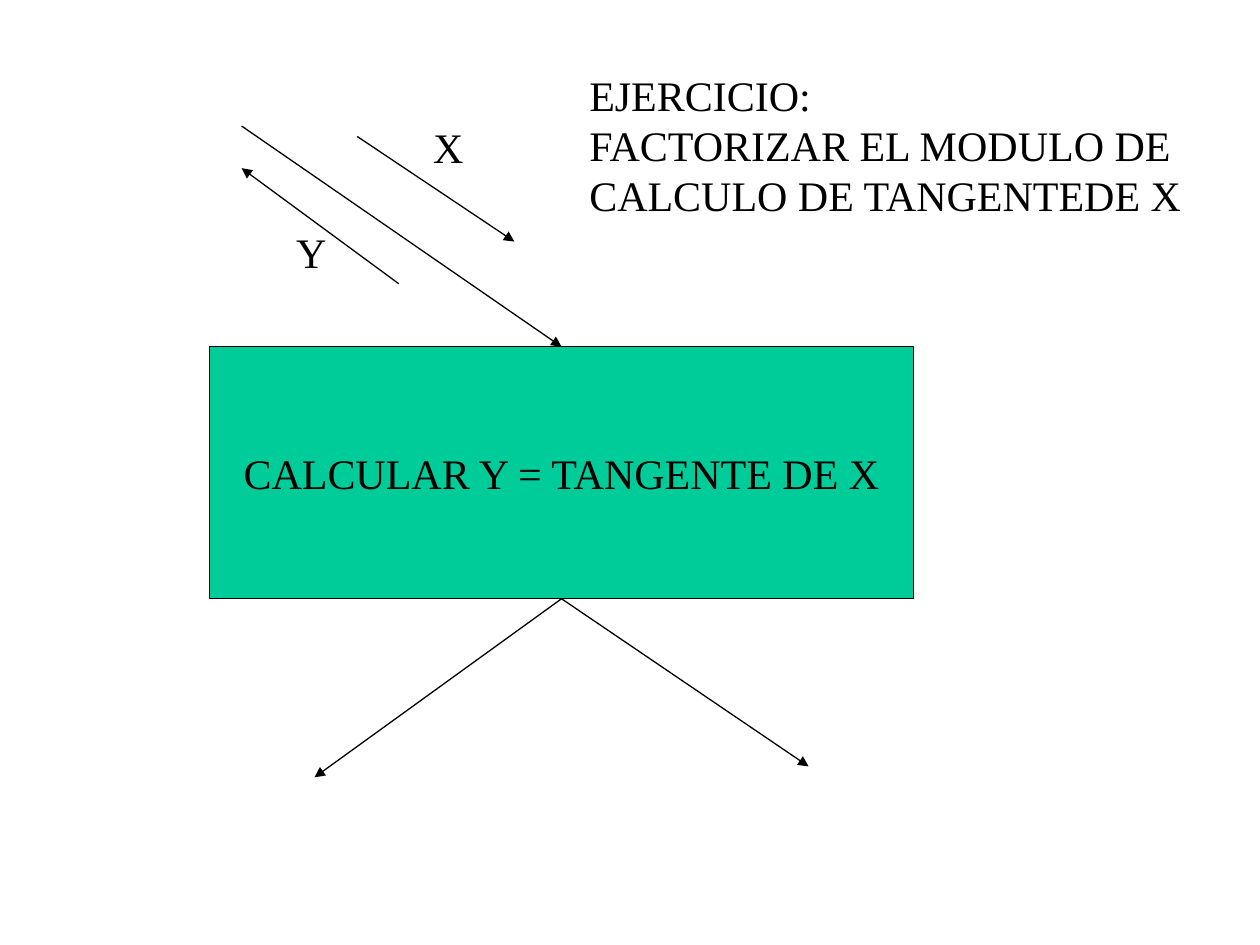
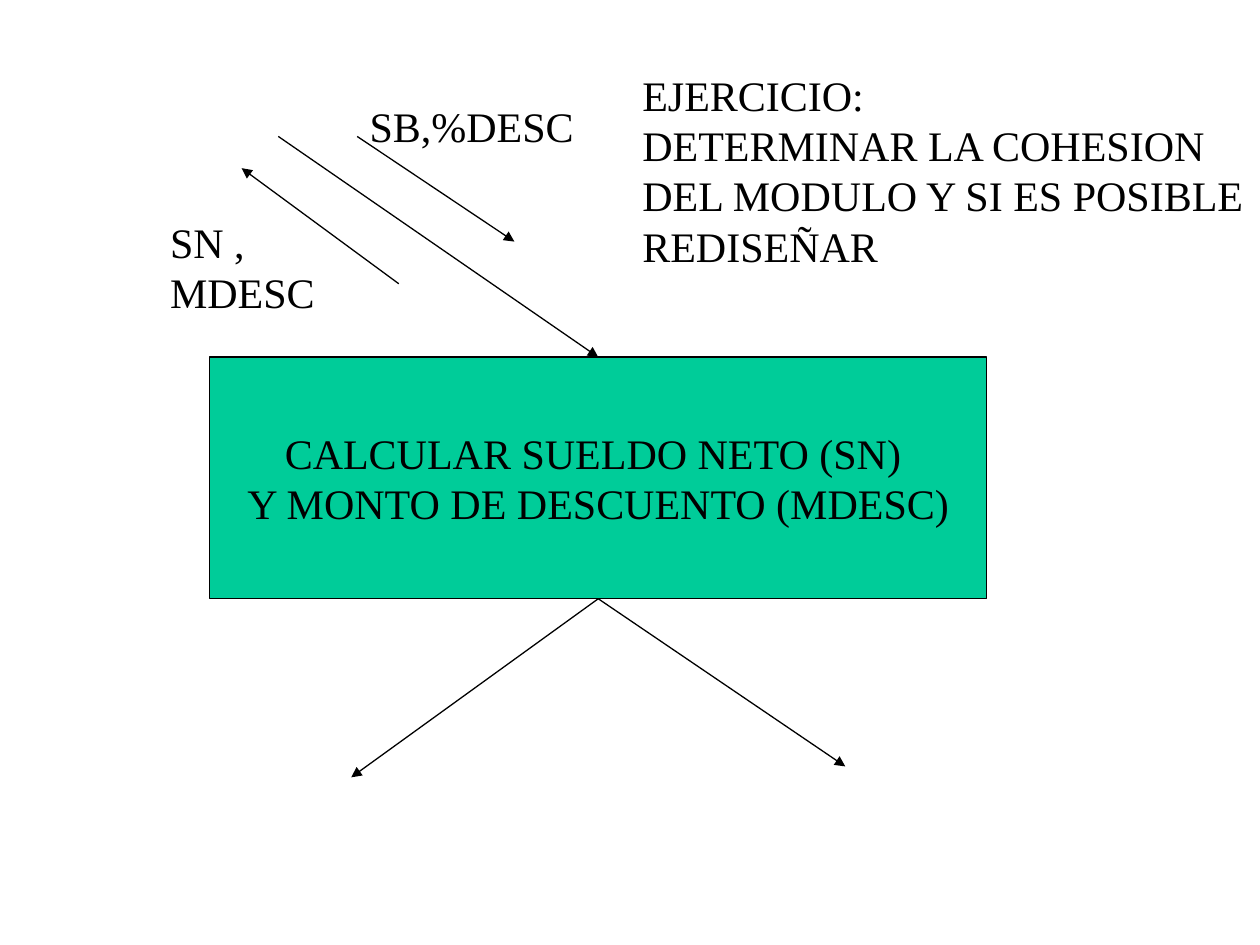
from lxml.etree import SubElement
from pptx import Presentation
from pptx.dml.color import RGBColor
from pptx.enum.shapes import MSO_CONNECTOR, MSO_SHAPE
from pptx.enum.text import MSO_ANCHOR, MSO_AUTO_SIZE, PP_ALIGN
from pptx.oxml.ns import qn
from pptx.util import Cm, Pt

BLACK = RGBColor(0x00, 0x00, 0x00)
GREEN = RGBColor(0x00, 0xCC, 0x99)
FONT = "Times New Roman"
TEXT_SIZE = Pt(24)
LINE_WIDTH = Pt(0.75)
TOP, BOTTOM = 0, 2

# Arrows, as (x, y) points in cm
INPUT_FLOW = (7.2, 2.75), (10.37, 4.87)
OUTPUT_FLOW = (8.04, 5.72), (4.87, 3.39)
# Offsets in cm from the middle of the module's top or bottom side
CALL_OFFSET = (-6.45, -4.45)
SUBMODULE_OFFSETS = [(-4.98, 3.6), (4.98, 3.38)]


def write_paragraphs(frame, paragraphs, alignment=PP_ALIGN.LEFT):
    """Fill the frame; each paragraph is a list of lines."""
    for index, lines in enumerate(paragraphs):
        paragraph = frame.paragraphs[0] if index == 0 else frame.add_paragraph()
        paragraph.alignment = alignment
        paragraph.font.size = TEXT_SIZE
        paragraph.font.name = FONT
        for number, line in enumerate(lines):
            if number:
                paragraph.add_line_break()
            run = paragraph.add_run()
            run.text = line
            run.font.size = TEXT_SIZE
            run.font.name = FONT
            run.font.color.rgb = BLACK


def add_label(slide, box, paragraphs):
    label = slide.shapes.add_textbox(*map(Cm, box))
    label.text_frame.word_wrap = True
    label.text_frame.auto_size = MSO_AUTO_SIZE.SHAPE_TO_FIT_TEXT
    write_paragraphs(label.text_frame, paragraphs)


def add_arrow(slide, start, end):
    arrow = slide.shapes.add_connector(
        MSO_CONNECTOR.STRAIGHT, *map(Cm, (*start, *end)))
    arrow.line.color.rgb = BLACK
    arrow.line.width = LINE_WIDTH
    SubElement(arrow.line._get_or_add_ln(), qn("a:tailEnd"), type="triangle")
    SubElement(arrow._element.spPr, qn("a:effectLst"))
    return arrow


def add_module(slide, box, lines):
    """Draw the module with its call from above and its two submodule calls."""
    left, top, width, height = box
    module = slide.shapes.add_shape(MSO_SHAPE.RECTANGLE, *map(Cm, box))
    module.shadow.inherit = False
    module.fill.solid()
    module.fill.fore_color.rgb = GREEN
    module.line.color.rgb = BLACK
    module.line.width = LINE_WIDTH
    module.text_frame.word_wrap = False
    module.text_frame.vertical_anchor = MSO_ANCHOR.MIDDLE
    write_paragraphs(module.text_frame, [lines], PP_ALIGN.CENTER)

    middle, bottom = left + width / 2, top + height
    dx, dy = CALL_OFFSET
    call = add_arrow(slide, (middle + dx, top + dy), (middle, top))
    call.end_connect(module, TOP)
    for dx, dy in SUBMODULE_OFFSETS:
        subcall = add_arrow(slide, (middle, bottom), (middle + dx, bottom + dy))
        subcall.begin_connect(module, BOTTOM)


def add_exercise(presentation, module, statement, input_label, output_label):
    """Add a slide; each part is a pair of box in cm and text."""
    slide = presentation.slides.add_slide(presentation.slide_layouts[6])
    add_module(slide, *module)
    for flow in (INPUT_FLOW, OUTPUT_FLOW):
        add_arrow(slide, *flow)
    for box, paragraphs in (statement, input_label, output_label):
        add_label(slide, box, paragraphs)


def main():
    presentation = Presentation()
    presentation.slide_width = Cm(25.4)
    presentation.slide_height = Cm(19.05)

    add_exercise(
        presentation,
        module=((4.23, 6.99, 14.18, 5.08), ["CALCULAR Y = TANGENTE DE X"]),
        statement=((11.63, 1.27, 13.77, 3.3), [
            ["EJERCICIO:"],
            ["FACTORIZAR EL MODULO DE ", "CALCULO DE TANGENTEDE X"],
        ]),
        input_label=((8.48, 2.33, 1.15, 1.27), [["X"]]),
        output_label=((5.72, 4.45, 1.15, 1.27), [["Y"]]),
    )
    add_exercise(
        presentation,
        module=((4.23, 7.2, 15.66, 4.87),
                ["CALCULAR SUELDO NETO (SN) ", "Y MONTO DE DESCUENTO (MDESC)"]),
        statement=((12.7, 1.27, 13.74, 4.32), [
            ["EJERCICIO:"],
            ["DETERMINAR LA COHESION", "DEL MODULO Y SI ES POSIBLE"],
            ["REDISEÑAR"],
        ]),
        input_label=((7.2, 1.9, 5.89, 1.27), [["SB,%DESC"]]),
        output_label=((3.18, 4.23, 4.14, 2.29), [["SN , MDESC"]]),
    )
    presentation.save("out.pptx")


if __name__ == "__main__":
    main()
